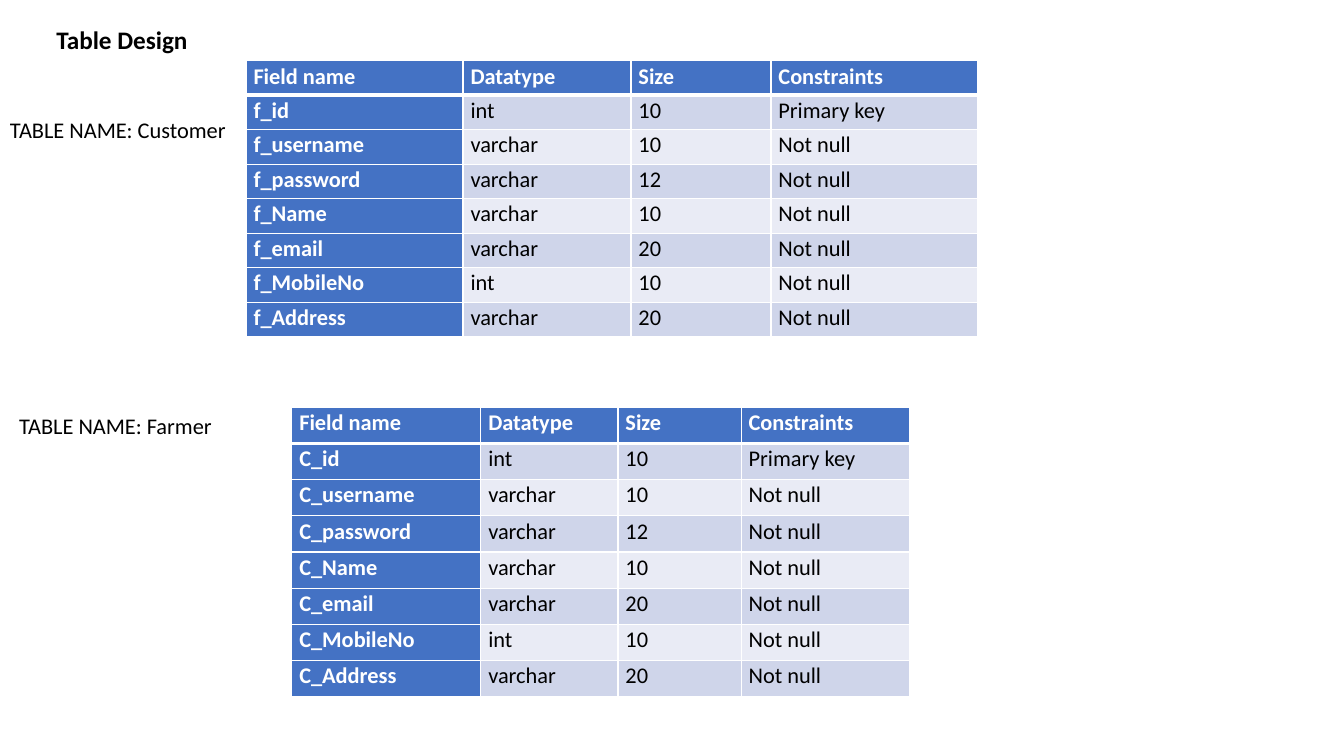
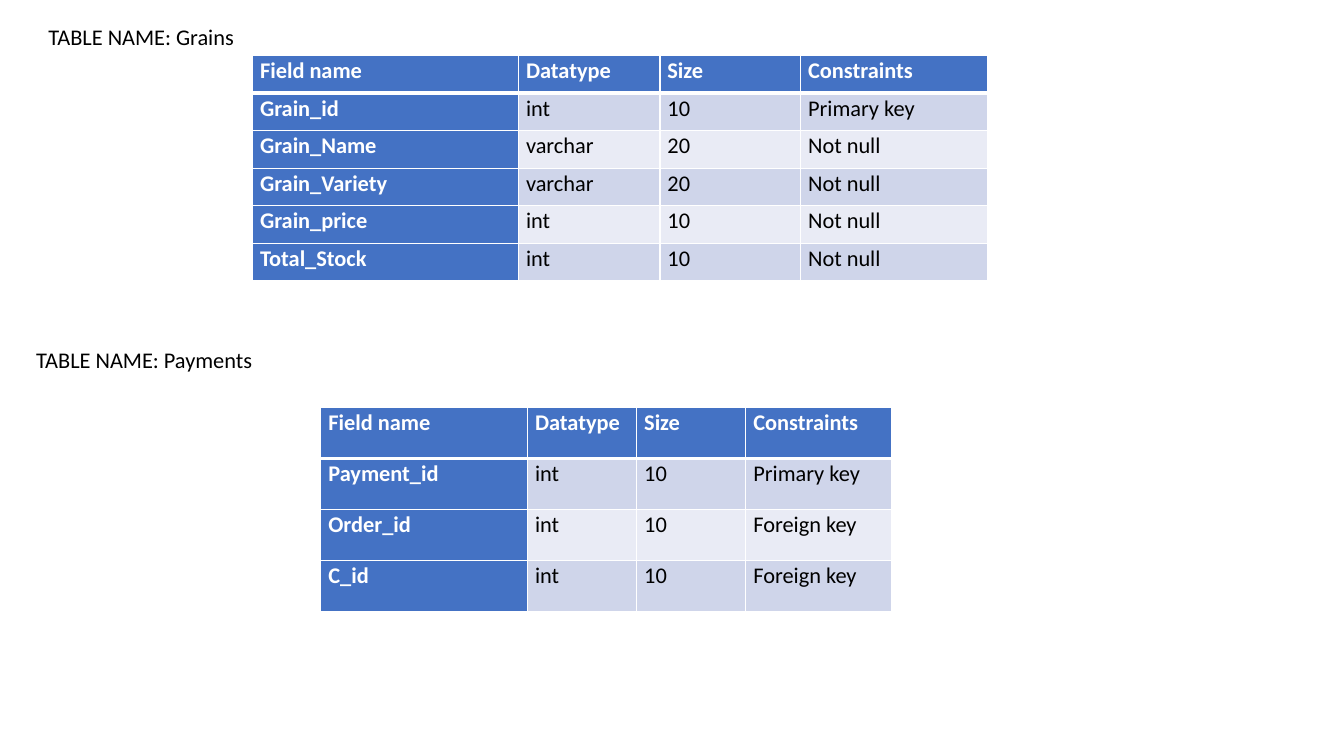
from dataclasses import dataclass

from pptx import Presentation
from pptx.dml.color import RGBColor
from pptx.enum import text as txt
from pptx.oxml import ns, xmlchemy
from pptx.util import Pt

FONT = "Calibri"
INK = {
    "text": "000000",
    "white": "FFFFFF",
    "head": "4472C4",
    "odd": "CFD5EA",
    "even": "E9EBF5",
}
HEADS = ("Field name", "Datatype", "Size", "Constraints")
USER = (
    ("id", "int", "10", "Primary key"),
    ("username", "varchar", "10", "Not null"),
    ("password", "varchar", "12", "Not null"),
    ("Name", "varchar", "10", "Not null"),
    ("email", "varchar", "20", "Not null"),
    ("MobileNo", "int", "10", "Not null"),
    ("Address", "varchar", "20", "Not null"),
)
GRAIN = (
    ("Grain_id", "int", "10", "Primary key"),
    ("Grain_Name", "varchar", "20", "Not null"),
    ("Grain_Variety", "varchar", "20", "Not null"),
    ("Grain_price", "int", "10", "Not null"),
    ("Total_Stock", "int", "10", "Not null"),
)
PAY = (
    ("Payment_id", "int", "10", "Primary key"),
    ("Order_id", "int", "10", "Foreign key"),
    ("C_id", "int", "10", "Foreign key"),
)


@dataclass(frozen=True)
class Label:
    text: str
    left: float
    top: float


@dataclass(frozen=True)
class Grid:
    label: Label
    left: float
    top: float
    cols: tuple[float, ...]
    row: float
    body: tuple[tuple[str, ...], ...]
    prefix: str = ""


@dataclass(frozen=True)
class Page:
    grids: tuple[Grid, ...]
    title: Label | None = None


PAGES = (
    Page(
        (
            Grid(Label("Customer", 0, 79.2), 175.7, 43.4,
                 (155, 120, 100, 147.6), 24.65, USER, "f_"),
            Grid(Label("Farmer", 6.5, 291), 208.4, 291,
                 (135, 98, 88, 120.5), 25.85, USER, "C_"),
        ),
        Label("Table Design", 33, 13.7),
    ),
    Page(
        (
            Grid(Label("Grains", 27.4, 13), 180.4, 39.8,
                 (190, 101, 100.5, 133.5), 26.8, GRAIN),
            Grid(Label("Payments", 18.7, 243.4), 229.2, 291.2,
                 (147.6, 78, 78, 104), 36.4, PAY),
        ),
    ),
)


def style(par, size: float, color: str, bold: bool = False) -> None:
    for run in par.runs:
        font = run.font
        font.name, font.size, font.bold = FONT, Pt(size), bold
        font.color.rgb = RGBColor.from_string(INK[color])


def write(shape, text: str, size: float, bold: bool = False) -> None:
    frame = shape.text_frame
    frame.text = text
    frame.word_wrap = True
    frame.auto_size = txt.MSO_AUTO_SIZE.NONE
    frame.vertical_anchor = txt.MSO_ANCHOR.TOP
    par = frame.paragraphs[0]
    par.alignment = txt.PP_ALIGN.LEFT
    style(par, size, "text", bold)


def edge(cell, side: str, width: float) -> None:
    line = xmlchemy.OxmlElement(f"a:ln{side}")
    line.set("w", str(Pt(width)))
    fill = xmlchemy.OxmlElement("a:solidFill")
    color = xmlchemy.OxmlElement("a:srgbClr")
    color.set("val", INK["white"])
    fill.append(color)
    line.append(fill)
    props = cell._tc.get_or_add_tcPr()
    props.insert(len(props.findall(ns.qn("a:ln*"))) or len(props), line)


def fill_cell(cell, text: str, row: int, col: int) -> None:
    head = row == 0 or col == 0
    cell.margin_left = cell.margin_right = Pt(5.4)
    cell.margin_top = cell.margin_bottom = 0
    thick = {0: "B", 1: "T"}.get(row)
    for side in "LRTB":
        edge(cell, side, 3 if side == thick else 1)
    tone = "head" if head else "odd" if row % 2 else "even"
    cell.fill.solid()
    cell.fill.fore_color.rgb = RGBColor.from_string(INK[tone])
    cell.text_frame.text = text
    par = cell.text_frame.paragraphs[0]
    par.line_spacing, par.space_after = 1.07, Pt(8)
    style(par, 16, "white" if head else "text", head)


def draw_grid(slide, grid: Grid) -> None:
    tag = grid.label
    box = slide.shapes.add_textbox(Pt(tag.left), Pt(tag.top), Pt(480), Pt(26.6))
    write(box, f"TABLE NAME: {tag.text}", 16)
    rows = [HEADS] + [(grid.prefix + name, *rest) for name, *rest in grid.body]
    table = slide.shapes.add_table(
        len(rows), len(HEADS), Pt(grid.left), Pt(grid.top),
        Pt(sum(grid.cols)), Pt(grid.row * len(rows)),
    ).table
    table.first_col = True
    for col, width in zip(table.columns, grid.cols):
        col.width = Pt(width)
    for y, row in enumerate(rows):
        table.rows[y].height = Pt(grid.row)
        for x, text in enumerate(row):
            fill_cell(table.cell(y, x), text, y, x)


def draw_page(deck, page: Page) -> None:
    slide = deck.slides.add_slide(deck.slide_layouts[5 if page.title else 6])
    if page.title:
        head = slide.shapes.title
        head.left, head.top = Pt(page.title.left), Pt(page.title.top)
        head.width, head.height = Pt(480), Pt(29)
        write(head, page.title.text, 18, True)
    for grid in page.grids:
        draw_grid(slide, grid)


def main() -> None:
    deck = Presentation()
    deck.slide_width, deck.slide_height = Pt(960), Pt(540)
    for page in PAGES:
        draw_page(deck, page)
    deck.save("out.pptx")


if __name__ == "__main__":
    main()
